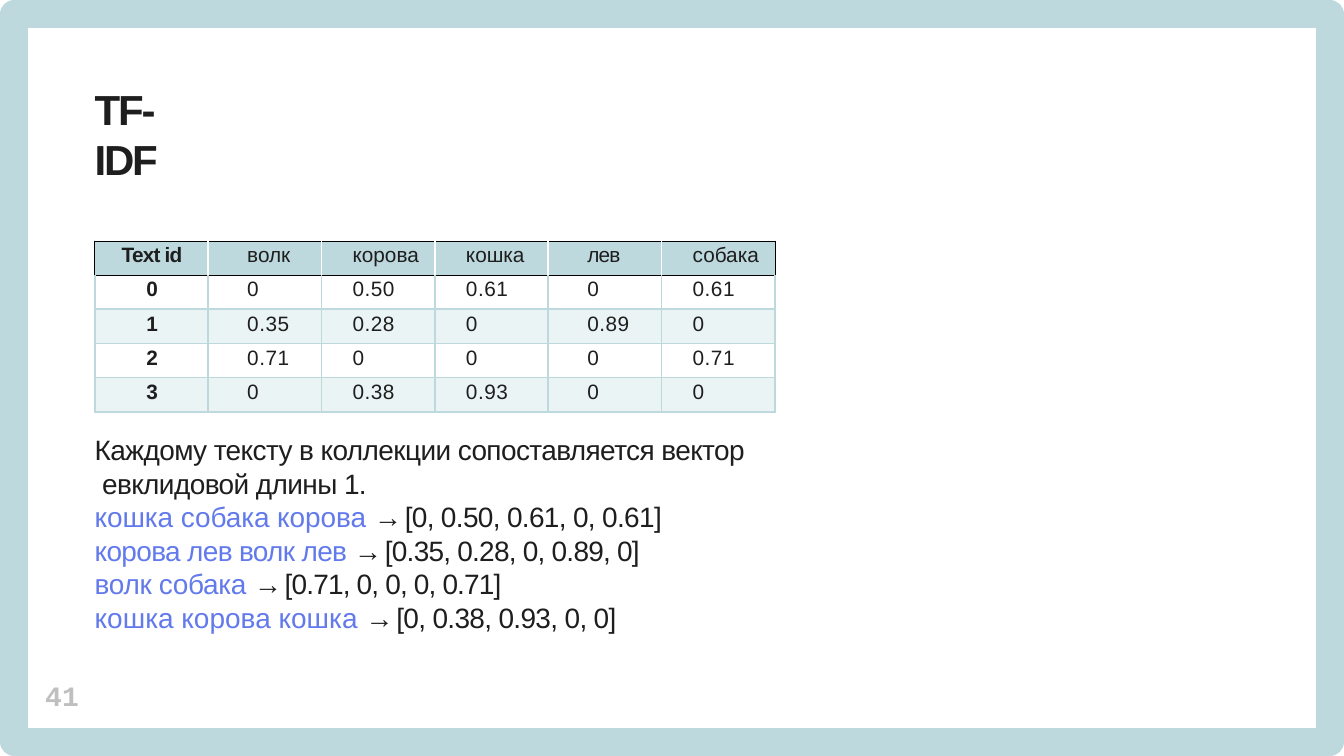
from lxml import etree
from pptx import Presentation
from pptx import util as u
from pptx.dml.color import RGBColor
from pptx.enum import shapes, text
from pptx.oxml.ns import qn

TEAL = RGBColor(0xBD, 0xD9, 0xDE)
PALE = RGBColor(0xEB, 0xF4, 0xF5)
WHITE = RGBColor(0xFF, 0xFF, 0xFF)
BLACK = RGBColor(0, 0, 0)
INK = RGBColor(0x1E, 0x1E, 0x1E)
BLUE = RGBColor(0x62, 0x7A, 0xEB)
GREY = RGBColor(0xBF, 0xBF, 0xBF)

WORDS = ["волк", "корова", "кошка", "лев", "собака"]
ROWS = [
    ["Text id"] + WORDS,
    ["0", "0", "0.50", "0.61", "0", "0.61"],
    ["1", "0.35", "0.28", "0", "0.89", "0"],
    ["2", "0.71", "0", "0", "0", "0.71"],
    ["3", "0", "0.38", "0.93", "0", "0"],
]
INDENTS = [0.02, 0.54, 0.41, 0.41, 0.54, 0.41]

INTRO = "Каждому тексту в коллекции сопоставляется вектор евклидовой длины 1."
# words, their letter spacing, vector, its letter spacing
VECTORS = [
    ("кошка собака корова ", -0.1, "[0, 0.50, 0.61, 0, 0.61]", -0.8),
    ("корова лев волк лев ", -0.8, "[0.35, 0.28, 0, 0.89, 0]", -0.9),
    ("волк собака ", -0.4, "[0.71, 0, 0, 0, 0.71]", -1),
    ("кошка корова кошка ", 0, "[0, 0.38, 0.93, 0, 0]", -0.8),
]


class Deck:
    def __init__(self, width, height):
        self.prs = Presentation()
        self.prs.slide_width = u.Inches(width)
        self.prs.slide_height = u.Inches(height)
        self.slide = self.prs.slides.add_slide(self.prs.slide_layouts[6])

    def frame(self, left, top, width, height, weight):
        box = self.slide.shapes.add_shape(
            shapes.MSO_SHAPE.RECTANGLE, *map(u.Inches, (left, top, width, height)))
        box.shadow.inherit = False
        box.fill.background()
        box.line.color.rgb = TEAL
        box.line.width = u.Pt(weight)
        etree.SubElement(box.line._get_or_add_ln(), qn("a:round"))

    def indent(self, para, left, first=0):
        props = para._p.get_or_add_pPr()
        props.set("marL", str(u.Inches(left)))
        props.set("indent", str(u.Inches(first)))

    def style(self, run, size, color=INK, bold=False, spacing=0, name="Arial"):
        font = run.font
        font.name, font.size, font.bold = name, u.Pt(size), bold
        font.color.rgb = color
        run._r.get_or_add_rPr().set("spc", str(round(spacing * 100)))

    def box(self, left, top, width, height, inset=0.01):
        """Add an empty wrapping text box and return its text frame."""
        area = self.slide.shapes.add_textbox(
            *map(u.Inches, (left, top, width, height))).text_frame
        area.word_wrap = True
        area.margin_left = area.margin_right = area.margin_bottom = 0
        area.margin_top = u.Inches(inset)
        return area

    def label(self, words, place, size, left, inset=0.01, leading=None, **look):
        area = self.box(*place, inset)
        area.text = words
        para = area.paragraphs[0]
        self.indent(para, left)
        if leading:
            para.line_spacing = u.Pt(leading)
        self.style(para.runs[0], size, bold=True, **look)

    def body(self, place):
        area = self.box(*place)
        para = area.paragraphs[0]
        para.text = INTRO
        self.indent(para, 0.13, -0.12)
        self.style(para.runs[0], 33, spacing=-0.7)
        for words, wide, vector, tight in VECTORS:
            para = area.add_paragraph()
            self.indent(para, 0.01)
            para.line_spacing = u.Pt(39.5)
            parts = [(words, BLUE, wide), ("→ ", INK, -6), (vector, INK, tight)]
            for part, color, spacing in parts:
                run = para.add_run()
                run.text = part
                self.style(run, 33, color, spacing=spacing)

    def edge(self, cell, side, color, weight):
        line = etree.SubElement(cell._tc.get_or_add_tcPr(), qn("a:ln" + side),
                                w=str(u.Pt(weight)))
        fill = etree.SubElement(line, qn("a:solidFill"))
        etree.SubElement(fill, qn("a:srgbClr"), val=str(color))

    def borders(self, cell, row, col, last):
        head, thin, thick = row == 0, (BLACK, 0.75), (TEAL, 2.21)
        inner = (WHITE, 2.21) if head else thick
        outer = thin if head else thick
        self.edge(cell, "L", *(outer if col == 0 else inner))
        self.edge(cell, "R", *(outer if col == last else inner))
        self.edge(cell, "T", *(thin if row < 2 else thick))
        self.edge(cell, "B", *outer)

    def table(self, left, top, width, height):
        count = len(ROWS[0])
        grid = self.slide.shapes.add_table(
            len(ROWS), count, *map(u.Inches, (left, top, width, height))).table
        grid.first_row = grid.horz_banding = False
        for row, values in enumerate(ROWS):
            for col, value in enumerate(values):
                cell = grid.cell(row, col)
                self.borders(cell, row, col, count - 1)
                cell.fill.solid()
                cell.fill.fore_color.rgb = (
                    TEAL if row == 0 else WHITE if row % 2 else PALE)
                cell.text_frame.text = value
                para = cell.text_frame.paragraphs[0]
                self.indent(para, INDENTS[col])
                if col == 0:
                    para.alignment = text.PP_ALIGN.CENTER
                spacing = 0.6 if "." in value else -0.9 if value in ("Text id", "лев") else 0
                self.style(para.runs[0], 24.5, bold=col == 0, spacing=spacing)


def main():
    deck = Deck(21.99, 12.37)
    deck.frame(0.23, 0.23, 21.53, 11.91, 33)
    deck.label("TF-IDF", (1.54, 1.35, 2, 2.08), 49.5, 0.01, spacing=-2.6)
    deck.label("41", (0.71, 11.14, 0.61, 0.6), 33, 0.03, inset=0, leading=37.3,
               color=GREY, name="Courier New")
    deck.table(1.55, 3.94, 11.13, 2.8)
    deck.body((1.54, 7.07, 10.77, 3.31))
    deck.prs.save("out.pptx")


if __name__ == "__main__":
    main()
